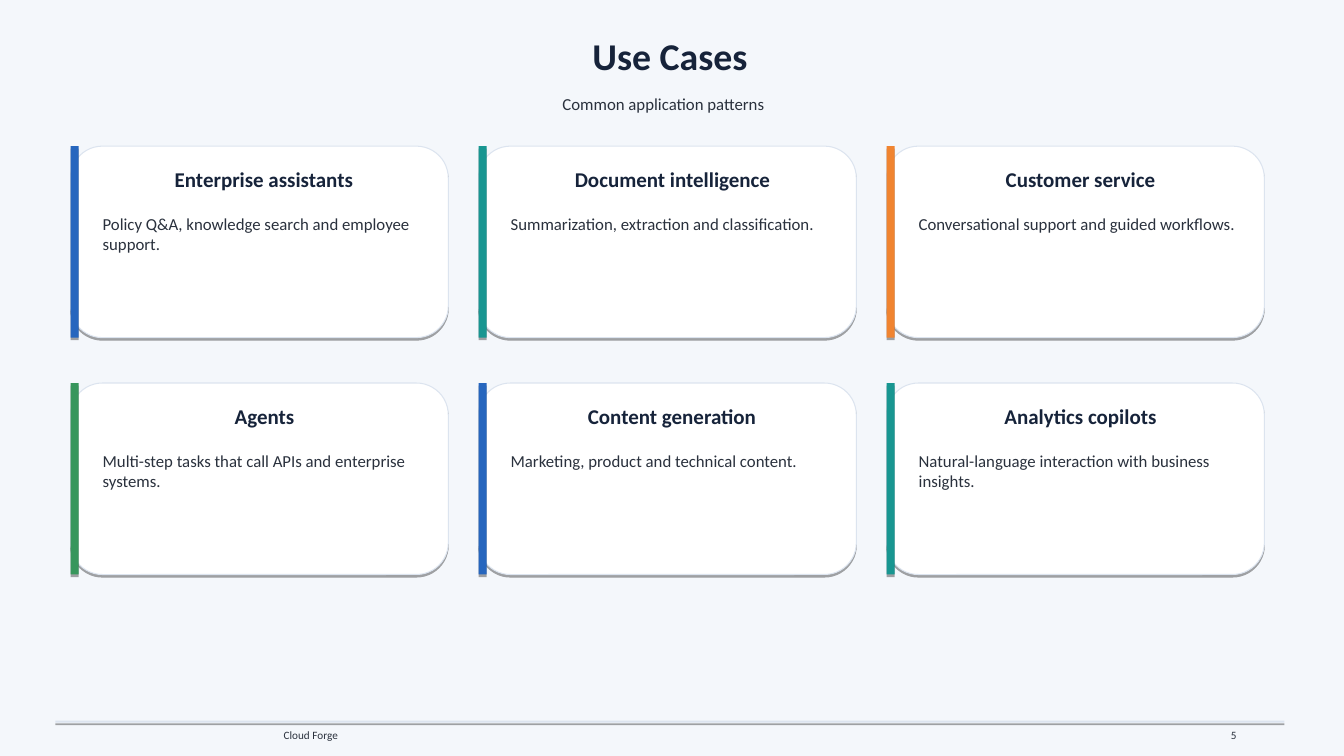
import lxml.etree
import pptx
import pptx.dml.color
import pptx.enum.shapes
import pptx.enum.text
import pptx.oxml.ns
import pptx.util

RGBColor = pptx.dml.color.RGBColor
SHAPE = pptx.enum.shapes.MSO_SHAPE
ALIGN = pptx.enum.text.PP_ALIGN

PAPER = RGBColor(0xF4, 0xF7, 0xFB)
WHITE = RGBColor(0xFF, 0xFF, 0xFF)
RULE = RGBColor(0xDC, 0xE4, 0xEF)
NAVY = RGBColor(0x16, 0x23, 0x3A)
INK = RGBColor(0x2A, 0x31, 0x3D)
BLUE = RGBColor(0x26, 0x66, 0xBE)
TEAL = RGBColor(0x18, 0x96, 0x91)
ORANGE = RGBColor(0xF0, 0x84, 0x30)
GREEN = RGBColor(0x37, 0x96, 0x5C)

PX = 9144
WIDTH, HEIGHT = 1334, 750
COLUMNS = 3
CARD_W, CARD_H = 375, 190

USE_CASES = [
    ("Enterprise assistants", 198, BLUE, "Policy Q&A, knowledge search and employee support."),
    ("Document intelligence", 215, TEAL, "Summarization, extraction and classification."),
    ("Customer service", 169, ORANGE, "Conversational support and guided workflows."),
    ("Agents", 79, GREEN, "Multi-step tasks that call APIs and enterprise systems."),
    ("Content generation", 188, BLUE, "Marketing, product and technical content."),
    ("Analytics copilots", 171, TEAL, "Natural-language interaction with business insights."),
]


class Deck:
    """Hold the slide and its style, and draw each kind of element."""

    font = "Calibri"

    def __init__(self):
        self.prs = pptx.Presentation()
        self.prs.slide_width = WIDTH * PX
        self.prs.slide_height = HEIGHT * PX
        self.s = self.prs.slides.add_slide(self.prs.slide_layouts[6])

    def shadow(self, sp):
        qn = pptx.oxml.ns.qn
        sp.shadow.inherit = False
        effects = sp._element.spPr.find(qn("a:effectLst"))
        outer = lxml.etree.SubElement(effects, qn("a:outerShdw"), blurRad="0",
                                      dist=str(pptx.util.Pt(1.8)), dir="5400000", rotWithShape="0")
        color = lxml.etree.SubElement(outer, qn("a:srgbClr"), val="000000")
        lxml.etree.SubElement(color, qn("a:alpha"), val="35000")

    def box(self, x, y, w, h, fill, kind=SHAPE.RECTANGLE, line=None):
        sp = self.s.shapes.add_shape(kind, x * PX, y * PX, w * PX, h * PX)
        sp.fill.solid()
        sp.fill.fore_color.rgb = fill
        if line is None:
            sp.line.fill.background()
        else:
            sp.line.color.rgb = line
            sp.line.width = pptx.util.Pt(0.75)
        self.shadow(sp)

    def text(self, x, y, w, h, words, size, color=INK, bold=False, align=ALIGN.CENTER, wrap=False):
        tf = self.s.shapes.add_textbox(x * PX, y * PX, w * PX, h * PX).text_frame
        tf.word_wrap = wrap
        tf.auto_size = pptx.enum.text.MSO_AUTO_SIZE.SHAPE_TO_FIT_TEXT
        p = tf.paragraphs[0]
        p.alignment = align
        r = p.add_run()
        r.text = words
        r.font.name = self.font
        r.font.size = pptx.util.Pt(size)
        r.font.bold = bold
        r.font.color.rgb = color

    def card(self, x, y, title, title_w, accent, body):
        self.box(x, y, CARD_W, CARD_H, WHITE, SHAPE.ROUNDED_RECTANGLE, RULE)
        self.box(x, y, 8, CARD_H, accent)
        self.text(x + 192 - title_w // 2, y + 15, title_w, 35, title, 15, NAVY, True)
        self.text(x + 22, y + 62, 335, 50, body, 12, align=ALIGN.LEFT, wrap=True)


def main():
    deck = Deck()
    deck.box(0, 0, WIDTH, HEIGHT, PAPER)
    deck.text(578, 28, 174, 55, "Use Cases", 27, NAVY, True)
    deck.text(548, 88, 221, 30, "Common application patterns", 12)
    deck.box(55, 715, 1220, 2, RULE)
    deck.text(268, 718, 81, 23, "Cloud Forge", 8)
    deck.text(1212, 718, 25, 23, "5", 8, align=ALIGN.RIGHT)
    for i, use_case in enumerate(USE_CASES):
        row, col = divmod(i, COLUMNS)
        deck.card(70 + 405 * col, 145 + 235 * row, *use_case)
    deck.prs.save("out.pptx")


if __name__ == "__main__":
    main()
